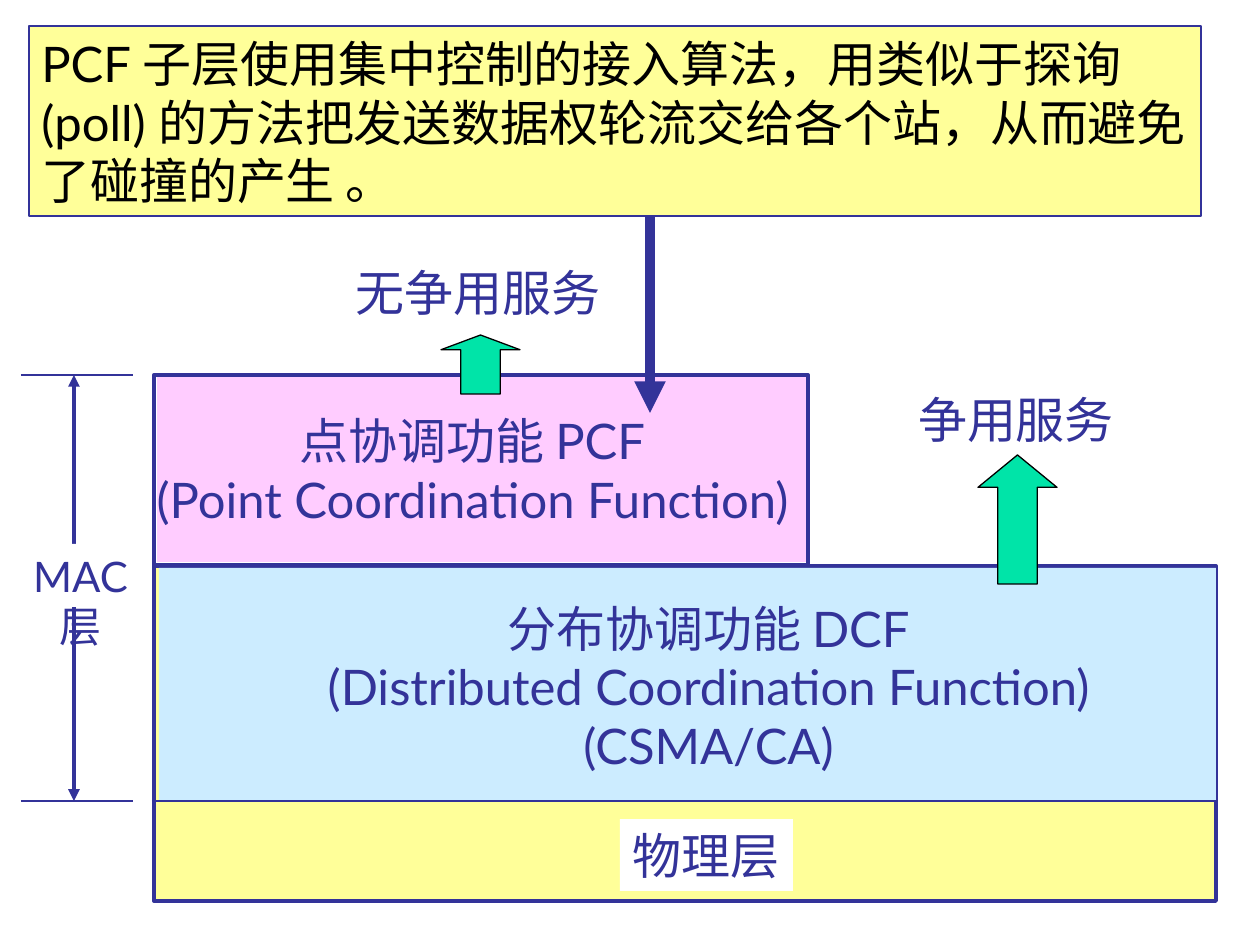
from dataclasses import dataclass

from lxml import etree
from pptx import Presentation
from pptx.dml.color import RGBColor
from pptx.enum.shapes import MSO_CONNECTOR, MSO_SHAPE
from pptx.enum.text import MSO_ANCHOR, PP_ALIGN
from pptx.oxml.ns import qn
from pptx.util import Emu, Pt

RECT, UP = MSO_SHAPE.RECTANGLE, MSO_SHAPE.UP_ARROW
STRAIGHT = MSO_CONNECTOR.STRAIGHT
LEFT, MID = PP_ALIGN.LEFT, PP_ALIGN.CENTER
TOP, LOW = MSO_ANCHOR.TOP, MSO_ANCHOR.BOTTOM
SCALE = 914400 / 126


@dataclass(frozen=True)
class Theme:
    font: str = "Lato"
    navy: str = "333399"
    black: str = "000000"
    white: str = "FFFFFF"
    yellow: str = "FFFF99"
    blue: str = "CCECFF"
    pink: str = "FFCCFF"
    green: str = "00E4A8"
    body: int = 28
    small: int = 24
    hair: float = 0.75
    thin: float = 1.5
    thick: float = 2.25
    heavy: float = 6


def px(*vals):
    return [Emu(round(val * SCALE)) for val in vals]


class Page:
    def __init__(self, slide, theme):
        self.slide = slide
        self.theme = theme

    def box(self, at, fill=None, line=None, width=0, kind=RECT):
        shape = self.slide.shapes.add_shape(kind, *px(*at))
        shape.shadow.inherit = False
        if fill:
            shape.fill.solid()
            shape.fill.fore_color.rgb = RGBColor.from_string(fill)
        else:
            shape.fill.background()
        if line:
            shape.line.color.rgb = RGBColor.from_string(line)
            shape.line.width = Pt(width)
        else:
            shape.line.fill.background()
        return shape

    def put(self, shape, rows, align=MID, wrap=False, anchor=TOP, size=None, color=None):
        frame = shape.text_frame
        for name, val in {"word_wrap": wrap, "vertical_anchor": anchor}.items():
            setattr(frame, name, val)
        form = {"name": self.theme.font, "size": Pt(size or self.theme.body)}
        frame.text = "\n".join(rows)
        for para in frame.paragraphs:
            para.alignment = align
            for name, val in form.items():
                setattr(para.font, name, val)
            para.font.color.rgb = RGBColor.from_string(color or self.theme.navy)

    def text(self, at, *rows, **form):
        self.put(self.slide.shapes.add_textbox(*px(*at)), rows, **form)

    def label(self, at, row, **form):
        self.put(self.box(at, self.theme.white), [row], **form)

    def arrow(self, at, head):
        theme = self.theme
        shape = self.box(at, theme.green, theme.black, theme.hair, UP)
        shape.adjustments[0] = 0.5
        shape.adjustments[1] = head

    def line(self, ends, width, tips=()):
        link = self.slide.shapes.add_connector(STRAIGHT, *px(*ends))
        link.line.color.rgb = RGBColor.from_string(self.theme.navy)
        link.line.width = Pt(width)
        props = link._element.spPr
        for tip in tips:
            etree.SubElement(props.find(qn("a:ln")), qn("a:" + tip), type="triangle")
        etree.SubElement(props, qn("a:effectLst"))


def main():
    deck = Presentation()
    deck.slide_width, deck.slide_height = px(1260, 945)
    theme = Theme()
    page = Page(deck.slides.add_slide(deck.slide_layouts[6]), theme)
    top, base = 375, 801

    # MAC span
    page.line((74, top, 74, base), theme.thick, ("headEnd", "tailEnd"))
    page.label((5, 544, 151, 63), "MAC层", wrap=True, size=theme.small)
    page.text((343, 256, 277, 72), "无争用服务", align=LEFT, wrap=True)

    # Layer blocks
    page.box((154, 566, 1062, 335), theme.yellow, theme.navy, theme.thick)
    page.box((159, 568, 1057, 234), theme.blue)
    page.box((157, top, 650, 187), theme.pink)
    page.text((905, 383, 222, 72), "争用服务")
    page.text((296, 592, 825, 190), "分布协调功能 DCF",
              "(Distributed Coordination Function)", "(CSMA/CA)")
    page.text((140, 404, 665, 131), "点协调功能 PCF", "(Point Coordination Function)")
    page.box((154, top, 654, 190), line=theme.navy, width=theme.thick)
    page.label((620, 819, 173, 72), "物理层", align=LEFT)

    # Level marks and divider
    for left, right, level in ((21, 133, top), (21, 133, base), (152, 1216, base)):
        page.line((left, level, right, level), theme.thin)

    # Service arrows
    page.arrow((978, 455, 79, 129), 0.41)
    page.arrow((441, 335, 79, 59), 0.25)

    # Note and its pointer
    page.line((650, 195, 650, 413), theme.heavy, ("tailEnd",))
    note = page.box((29, 26, 1172, 190), theme.yellow, theme.navy, theme.hair)
    page.put(note, ["PCF 子层使用集中控制的接入算法，用类似于探询(poll) 的方法"
                    "把发送数据权轮流交给各个站，从而避免了碰撞的产生 。"],
             align=LEFT, wrap=True, anchor=LOW, color=theme.black)

    deck.save("out.pptx")


if __name__ == "__main__":
    main()
